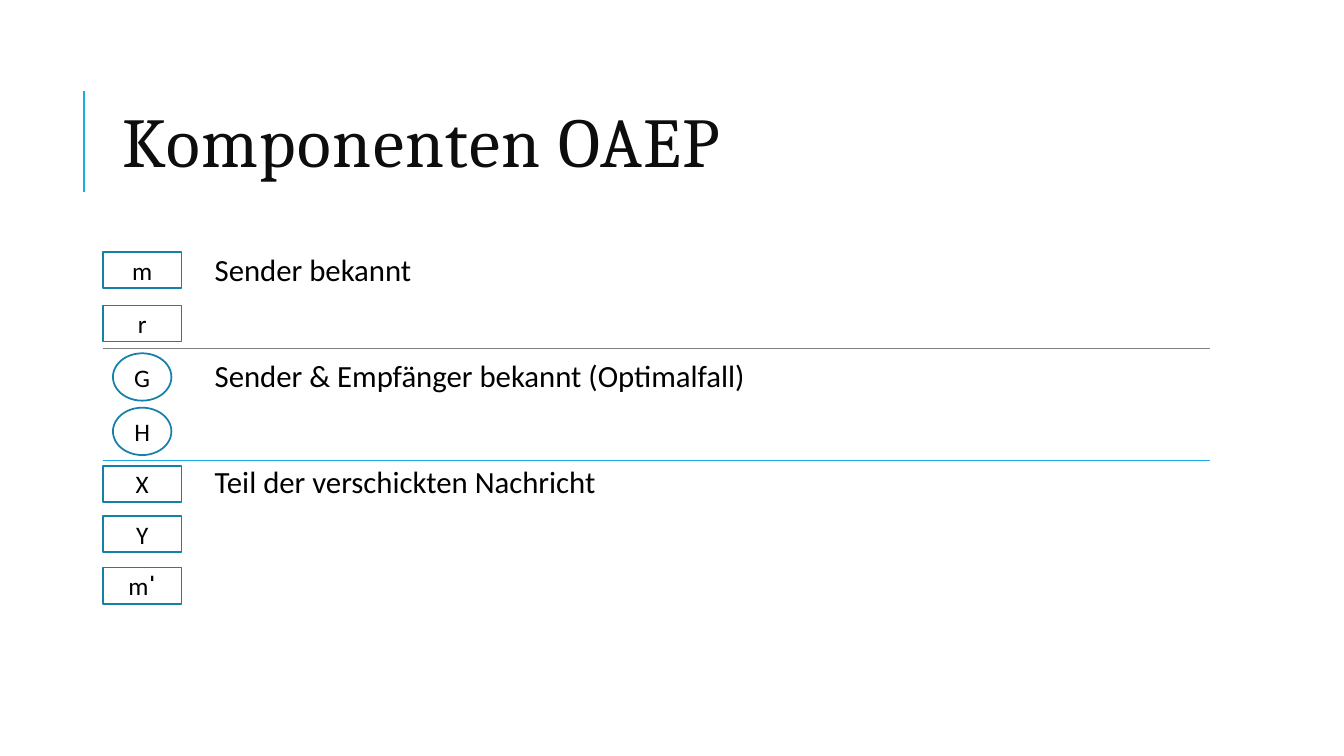
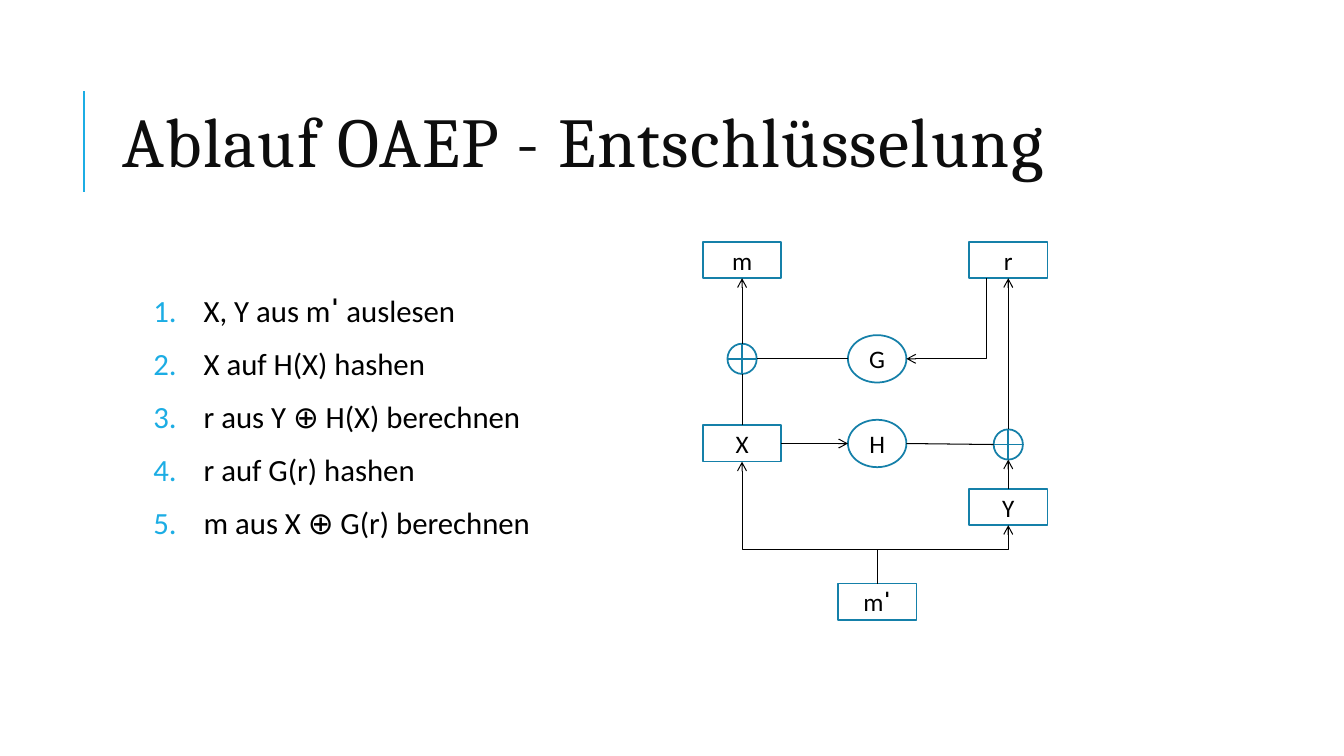
from lxml import etree
from pptx import Presentation, util as u
from pptx.dml.color import RGBColor
from pptx.enum import shapes, text
from pptx.oxml import ns

THEME = {
    "sky": "1CADE4", "edge": "1580A9", "ink": "000000", "gray": "808080",
    "head": {"size": 50, "name": "Cambria", "color": "0D0D0D"},
    "body": {"size": 22, "name": "Calibri", "color": "000000"},
    "node": {"size": 18, "name": "Calibri", "color": "000000"},
}
MARK = "ˈ"
KIND = shapes.MSO_SHAPE
FORM = {  # preset, width, height
    "box": (KIND.RECTANGLE, 0.78, 0.36),
    "hash": (KIND.OVAL, 0.58, 0.47),
    "xor": (KIND.FLOWCHART_OR, 0.29, 0.3),
}
SIDE = {"top": (0, 0, -0.5), "left": (1, -0.5, 0),
        "bottom": (2, 0, 0.5), "right": (3, 0.5, 0)}

# Content: components
PARTS = [("m", "box", 2.68), ("r", "box", 3.21), ("G", "hash", 3.74),
         ("H", "hash", 4.28), ("X", "box", 4.8), ("Y", "box", 5.3),
         ("mˈ", "box", 5.81)]
NOTES = ["Sender bekannt", "Sender & Empfänger bekannt (Optimalfall)",
         "Teil der verschickten Nachricht"]
RULES = [(3.46, "gray"), (4.57, "sky")]

# Content: decryption
STEPS = ["X, Y aus mˈ auslesen", "X auf H(X) hashen",
         "r aus Y ⊕ H(X) berechnen", "r auf G(r) hashen",
         "m aus X ⊕ G(r) berechnen"]
WEST, MID, EAST = 7.36, 8.7, 10
NODES = {  # key: label, form, centre
    "m": ("m", "box", WEST, 2.58), "r": ("r", "box", EAST, 2.58),
    "Y": ("Y", "box", EAST, 5.03), "mˈ": ("mˈ", "box", MID, 5.97),
    "X": ("X", "box", WEST, 4.4), "G": ("G", "hash", MID, 3.56),
    "H": ("H", "hash", MID, 4.4), "xorG": ("", "xor", WEST, 3.56),
    "xorH": ("", "xor", EAST, 4.41),
}
LINKS = [  # from, to, arrowhead
    (("m", "bottom"), ("xorG", "top"), "headEnd"),
    (("G", "left"), ("xorG", "right"), None),
    (("xorG", "bottom"), ("X", "top"), None),
    (("X", "right"), ("H", "left"), "tailEnd"),
    (("r", "bottom"), ("xorH", "top"), "headEnd"),
    (("H", "right"), ("xorH", "left"), None),
    (("xorH", "bottom"), ("Y", "top"), "headEnd"),
]
FORK = 5.45


def inch(*vals):
    return [u.Inches(v) for v in vals]


def rgb(key):
    return RGBColor.from_string(THEME.get(key, key))


def put(obj, **vals):
    for key, val in vals.items():
        setattr(obj, key, val)


def sub(root, tag, **vals):
    return etree.SubElement(root, ns.qn("a:" + tag), vals)


# Text
def write(para, words, style):
    look = THEME[style]
    for part in words.partition(MARK):
        if part:
            run = para.add_run()
            run.text = part
            put(run.font, size=u.Pt(look["size"]), name=look["name"],
                bold=part == MARK)
            run.font.color.rgb = rgb(look["color"])


def body(slide, area, lines, gap=12, count=False):
    frame = slide.shapes.add_textbox(*inch(*area)).text_frame
    pad = u.Inches(0.05)
    put(frame, word_wrap=True, margin_left=pad, margin_right=pad,
        margin_top=pad, margin_bottom=pad)
    for num, words in enumerate(lines):
        para = frame.add_paragraph() if num else frame.paragraphs[0]
        put(para, line_spacing=0.9, space_before=u.Pt(gap if num else 12),
            space_after=u.Pt(2))
        write(para, words, "body")
        if count:
            prop = para._p.get_or_add_pPr()
            dent = u.Inches(0.5)
            prop.set("marL", str(dent))
            prop.set("indent", str(-dent))
            sub(sub(prop, "buClr"), "srgbClr", val=THEME["sky"])
            sub(prop, "buFont", typeface="+mj-lt")
            sub(prop, "buAutoNum", type="arabicPeriod")


# Nodes and lines
def node(slide, label, form, x, y):
    kind, wide, high = FORM[form]
    item = slide.shapes.add_shape(
        kind, *inch(x - wide / 2, y - high / 2, wide, high))
    item.shadow.inherit = False
    item.fill.background()
    item.line.color.rgb = rgb("edge")
    item.line.width = u.Pt(1.25)
    frame = item.text_frame
    frame.vertical_anchor = text.MSO_ANCHOR.MIDDLE
    para = frame.paragraphs[0]
    para.alignment = text.PP_ALIGN.CENTER
    write(para, label, "node")
    return item


def line(slide, ends, color, width=0.75, arrow=None, bent=False):
    kind = shapes.MSO_CONNECTOR
    item = slide.shapes.add_connector(
        kind.ELBOW if bent else kind.STRAIGHT, *inch(*ends))
    item.line.color.rgb = rgb(color)
    item.line.width = u.Pt(width)
    if arrow:
        sub(item.line._get_or_add_ln(), arrow, type="arrow")
    sub(item._element.spPr, "effectLst")
    return item


def elbow(slide, x1, y1, x2, y2, arrow, turn=None):
    """Leave downwards; turn at a height, or only once."""
    x, y = (x1 + x2) / 2, (y1 + y2) / 2
    wide, high = y2 - y1, abs(x2 - x1)
    ends = (x - wide / 2, y - high / 2, x + wide / 2, y + high / 2)
    prop = line(slide, ends, "ink", arrow=arrow, bent=True)._element.spPr
    form = prop.find(ns.qn("a:xfrm"))
    form.set("rot", str((90 if x2 < x1 else 270) * 60000))
    if x2 > x1:
        form.set("flipH", "1")
    geom = prop.find(ns.qn("a:prstGeom"))
    if turn is None:
        geom.set("prst", "bentConnector2")
    else:
        ratio = round((turn - y1) / wide * 100000)
        sub(geom.find(ns.qn("a:avLst")), "gd", name="adj1",
            fmla=f"val {ratio}")


def port(key, side):
    label, form, x, y = NODES[key]
    kind, wide, high = FORM[form]
    site, dx, dy = SIDE[side]
    return x + dx * wide, y + dy * high


# Slides
def page(deck, title):
    slide = deck.slides.add_slide(deck.slide_layouts[6])
    line(slide, (0.83, 1.9, 0.83, 0.9), "sky", 1.5)
    frame = slide.shapes.add_textbox(
        *inch(1.12, 0.64, 10.63, 1.64)).text_frame
    put(frame, word_wrap=True, vertical_anchor=text.MSO_ANCHOR.MIDDLE)
    para = frame.paragraphs[0]
    para.line_spacing = 0.8
    write(para, title, "head")
    para.runs[0].font._element.set("spc", "100")
    return slide


def parts(deck):
    slide = page(deck, "Komponenten OAEP")
    body(slide, (2.08, 2.48, 9.86, 4.4), NOTES, gap=50)
    for label, form, y in PARTS:
        node(slide, label, form, 1.41, y)
    for y, color in RULES:
        line(slide, (1.02, y, 12, y), color)


def flow(deck):
    slide = page(deck, "Ablauf OAEP - Entschlüsselung")
    body(slide, (1.47, 2.89, 4.25, 2.98), STEPS, count=True)
    made = {key: node(slide, *spec) for key, spec in NODES.items()}
    for start, stop, arrow in LINKS:
        item = line(slide, port(*start) + port(*stop), "ink", arrow=arrow)
        for (key, side), join in ((start, item.begin_connect),
                                  (stop, item.end_connect)):
            if NODES[key][1] == "box":
                join(made[key], SIDE[side][0])
    for key in ("Y", "X"):
        elbow(slide, *port(key, "bottom"), *port("mˈ", "top"),
              "headEnd", FORK)
    elbow(slide, 9.78, port("r", "bottom")[1], *port("G", "right"),
          "tailEnd")


def main():
    deck = Presentation()
    put(deck, slide_width=u.Inches(13.33), slide_height=u.Inches(7.5))
    parts(deck)
    flow(deck)
    deck.save("out.pptx")


if __name__ == "__main__":
    main()
